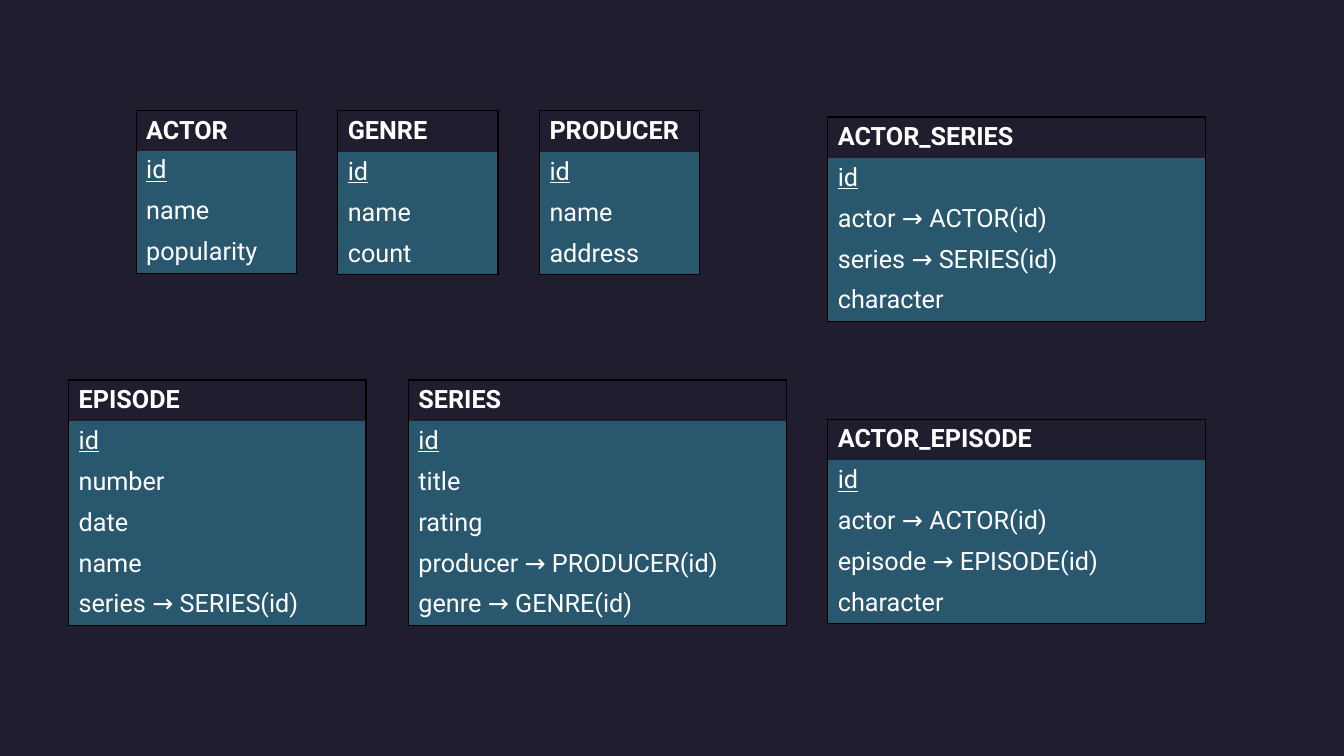
from lxml import etree
from pptx import Presentation
from pptx import util as u
from pptx.dml import color
from pptx.oxml import ns

DARK, TEAL, WHITE, BLACK = "1F1D2E", "29576E", "FFFFFF", "000000"
ROW = u.Inches(2.03) // 5
ENTITIES = [
    ((1.35, 1.1, 1.59), "ACTOR", ["id", "name", "popularity"]),
    ((3.35, 1.1, 1.59), "GENRE", ["id", "name", "count"]),
    ((5.35, 1.1, 1.59), "PRODUCER", ["id", "name", "address"]),
    ((4.05, 3.77, 3.75), "SERIES",
     ["id", "title", "rating", "producer → PRODUCER(id)", "genre → GENRE(id)"]),
    ((0.68, 3.77, 2.95), "EPISODE",
     ["id", "number", "date", "name", "series → SERIES(id)"]),
    ((8.21, 1.16, 3.75), "ACTOR_SERIES",
     ["id", "actor → ACTOR(id)", "series → SERIES(id)", "character"]),
    ((8.21, 4.16, 3.75), "ACTOR_EPISODE",
     ["id", "actor → ACTOR(id)", "episode → EPISODE(id)", "character"]),
]


def paint(fill, shade):
    """Give a fill one solid colour."""
    fill.solid()
    fill.fore_color.rgb = color.RGBColor.from_string(shade)


def border(cell, sides):
    """Draw the named sides of a cell and hide the others."""
    props = cell._tc.get_or_add_tcPr()
    for spot, side in enumerate("LRTB"):
        line = etree.Element(ns.qn(f"a:ln{side}"), w=str(u.Pt(1)))
        if side in sides:
            solid = etree.SubElement(line, ns.qn("a:solidFill"))
            etree.SubElement(solid, ns.qn("a:srgbClr"), val=BLACK)
        else:
            etree.SubElement(line, ns.qn("a:noFill"))
        props.insert(spot, line)


def write(cell, words, bold, under):
    """Add one run of text to a cell."""
    run = cell.text_frame.paragraphs[0].add_run()
    run.text = words
    font = run.font
    font.name, font.size = "Roboto", u.Pt(18)
    font.bold, font.underline = bold, under
    paint(font.fill, WHITE)


def entity(slide, box, name, fields):
    """Place one entity table, its key underlined, in the given box."""
    left, top, width = map(u.Inches, box)
    lines = [name, *fields]
    count = len(lines)
    table = slide.shapes.add_table(
        count, 1, left, top, width, ROW * count).table
    table.horz_banding = False
    for row, words in enumerate(lines):
        table.rows[row].height = ROW
        cell = table.cell(row, 0)
        head = row == 0
        paint(cell.fill, DARK if head else TEAL)
        write(cell, words, head, row == 1)
        border(cell, "LR" + "T" * head + "B" * (row == count - 1))
    return table


def main():
    """Build the schema slide and save it."""
    deck = Presentation()
    deck.slide_width, deck.slide_height = u.Inches(13.33), u.Inches(7.5)
    slide = deck.slides.add_slide(deck.slide_layouts[6])
    paint(slide.background.fill, DARK)
    tables = [entity(slide, *item) for item in ENTITIES]
    tables[0].rows[0].height = u.Inches(0.37)
    deck.save("out.pptx")


if __name__ == "__main__":
    main()
